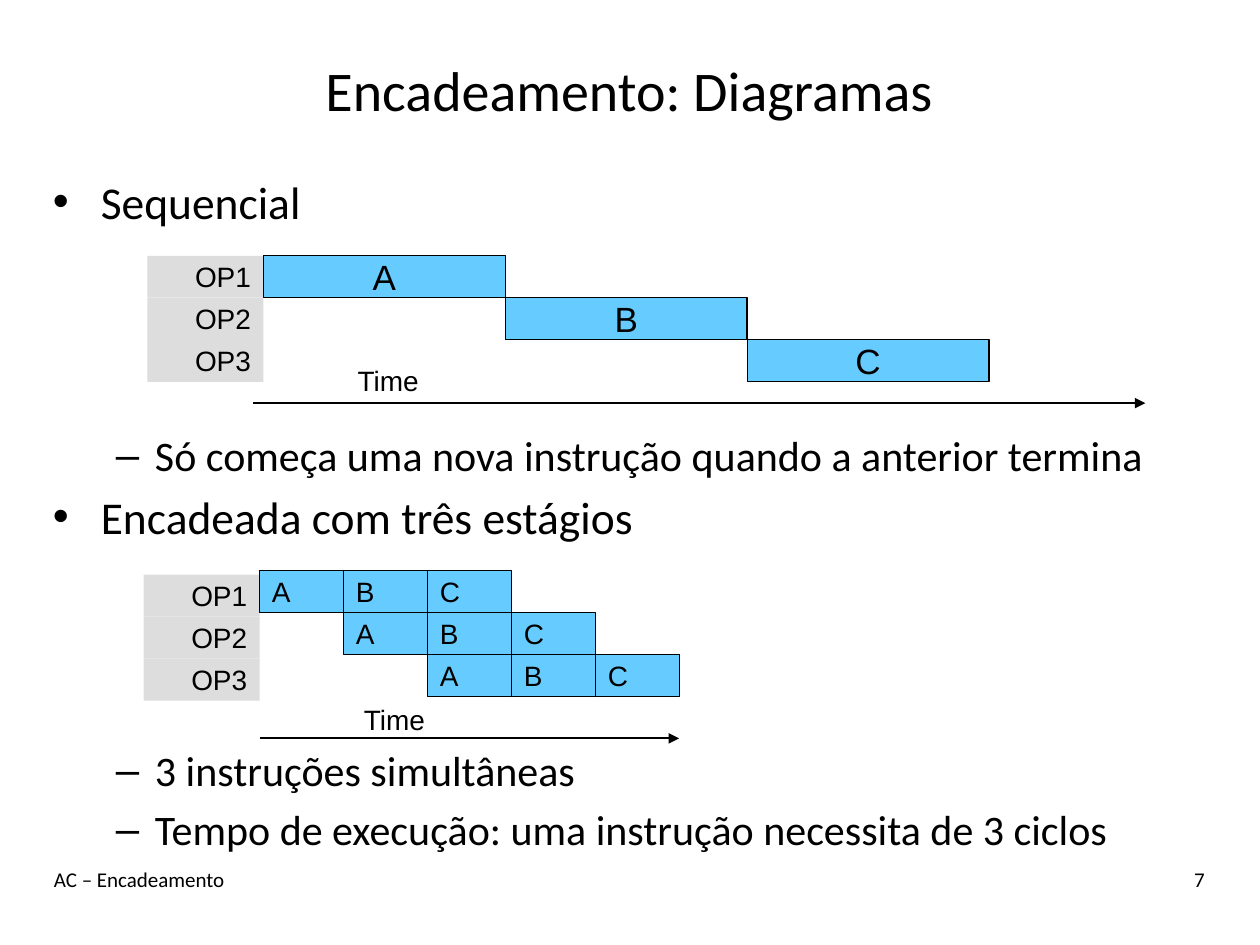
import pptx
import pptx.dml.color
import pptx.enum.shapes
import pptx.enum.text
import pptx.oxml.ns
import pptx.util
from lxml import etree
from pptx.util import Inches

COLORS = {"text": "000000", "stage": "66CCFF", "label": "DDDDDD"}
ALIGN = pptx.enum.text.PP_ALIGN
ANCHOR = pptx.enum.text.MSO_ANCHOR
AUTO_SIZE = pptx.enum.text.MSO_AUTO_SIZE
ROW_HEIGHT = 1 / 3
LABEL_WIDTH = 0.92
OPERATIONS = ["OP1", "OP2", "OP3"]
STAGES = ["A", "B", "C"]


def color(name):
    return pptx.dml.color.RGBColor.from_string(COLORS[name])


def place(shape, box):
    shape.left, shape.top, shape.width, shape.height = map(Inches, box)


def format_paragraph(para, size, font, align):
    para.alignment = align
    para.font.size = pptx.util.Pt(size)
    para.font.name = font
    para.font.color.rgb = color("text")


def add_title(page, box, text):
    title = page.shapes.title
    place(title, box)
    title.text_frame.text = text
    title.text_frame.auto_size = AUTO_SIZE.NONE
    title.text_frame.vertical_anchor = ANCHOR.MIDDLE
    format_paragraph(title.text_frame.paragraphs[0], 32, "Calibri", ALIGN.CENTER)


def add_body(page, box, items):
    body = page.placeholders[1]
    place(body, box)
    frame = body.text_frame
    frame.auto_size = AUTO_SIZE.NONE
    frame.text = "\n".join(text for text, level, gap in items)
    for para, (text, level, gap) in zip(frame.paragraphs, items):
        para.level = level
        para.space_before = pptx.util.Pt(gap)
        format_paragraph(para, (26, 24)[level], "Calibri", ALIGN.LEFT)
        margin, indent = ((0.38, -0.38), (0.81, -0.31))[level]
        properties = para._p.get_or_add_pPr()
        properties.set("marL", str(Inches(margin)))
        properties.set("indent", str(Inches(indent)))


def add_text(shapes, box, text, size, font, align=ALIGN.LEFT, wrap=True):
    label = shapes.add_textbox(*map(Inches, box))
    label.text_frame.word_wrap = wrap
    label.text_frame.text = text
    format_paragraph(label.text_frame.paragraphs[0], size, font, align)


def add_footer(page, box, text, number):
    left, top, width, height = box
    number_width = 1.33
    add_text(page.shapes, (left, top, 7, height), text, 12, "Calibri")
    number_box = (left + width - number_width, top, number_width, height)
    add_text(page.shapes, number_box, number, 12, "Calibri", ALIGN.RIGHT)


def add_cell(shapes, box, text, fill, size, align, outlined):
    cell = shapes.add_shape(pptx.enum.shapes.MSO_SHAPE.RECTANGLE, *map(Inches, box))
    cell.shadow.inherit = False
    cell.fill.solid()
    cell.fill.fore_color.rgb = color(fill)
    if outlined:
        cell.line.color.rgb = color("text")
        cell.line.width = pptx.util.Pt(0.75)
    else:
        cell.line.fill.background()
    frame = cell.text_frame
    frame.word_wrap = False
    frame.vertical_anchor = ANCHOR.MIDDLE
    frame.text = text
    format_paragraph(frame.paragraphs[0], size, "Arial", align)


def add_time_axis(shapes, left, right, top):
    axis = shapes.add_connector(
        pptx.enum.shapes.MSO_CONNECTOR.STRAIGHT,
        Inches(left), Inches(top), Inches(right), Inches(top),
    )
    axis.line.color.rgb = color("text")
    axis.line.width = pptx.util.Pt(1)
    qualified = pptx.oxml.ns.qn
    etree.SubElement(axis.line._get_or_add_ln(), qualified("a:tailEnd"), type="triangle")
    etree.SubElement(axis._element.spPr, qualified("a:effectLst"))


def add_diagram(page, box, stages, stage_width, size, align, label_top, axis, time_at):
    left, top, width, height = box
    shapes = page.shapes.add_group_shape().shapes
    add_time_axis(shapes, *axis, top + height)
    add_text(shapes, (*time_at, 0.69, 0.36), "Time", 16, "Arial", wrap=False)
    for row, name in enumerate(OPERATIONS):
        label_box = (left, label_top + row * ROW_HEIGHT, LABEL_WIDTH, ROW_HEIGHT)
        add_cell(shapes, label_box, name, "label", 16, ALIGN.RIGHT, False)
    for row, column, name in stages:
        stage_box = (
            left + LABEL_WIDTH + column * stage_width,
            top + row * ROW_HEIGHT,
            stage_width,
            ROW_HEIGHT,
        )
        add_cell(shapes, stage_box, name, "stage", size, align, True)


def main():
    deck = pptx.Presentation()
    deck.slide_width, deck.slide_height = Inches(10), Inches(7.5)
    page = deck.slides.add_slide(deck.slide_layouts[1])
    add_title(page, (0.33, 0.25, 9.33, 0.92), "Encadeamento: Diagramas")
    add_footer(page, (0.33, 6.83, 9.33, 0.5), "AC – Encadeamento", "7")
    add_body(page, (0.32, 1.33, 9.07, 5.7), [
        ("Sequencial", 0, 5),
        ("Só começa uma nova instrução quando a anterior termina", 1, 115),
        ("Encadeada com três estágios", 0, 5),
        ("3 instruções simultâneas", 1, 115),
        ("Tempo de execução: uma instrução necessita de 3 ciclos", 1, 5),
    ])
    sequential = [(step, step, name) for step, name in enumerate(STAGES)]
    pipelined = [
        (row, row + step, name)
        for row in range(len(OPERATIONS))
        for step, name in enumerate(STAGES)
    ]
    add_diagram(page, (1.17, 2.03, 7.92, 1.17), sequential, 1.92, 20, ALIGN.CENTER,
                2.03, (2.01, 9.09), (2.74, 2.84))
    add_diagram(page, (1.14, 4.53, 4.25, 1.33), pipelined, 2 / 3, 16, ALIGN.LEFT,
                4.56, (2.06, 5.39), (2.79, 5.53))
    deck.save("out.pptx")


if __name__ == "__main__":
    main()
